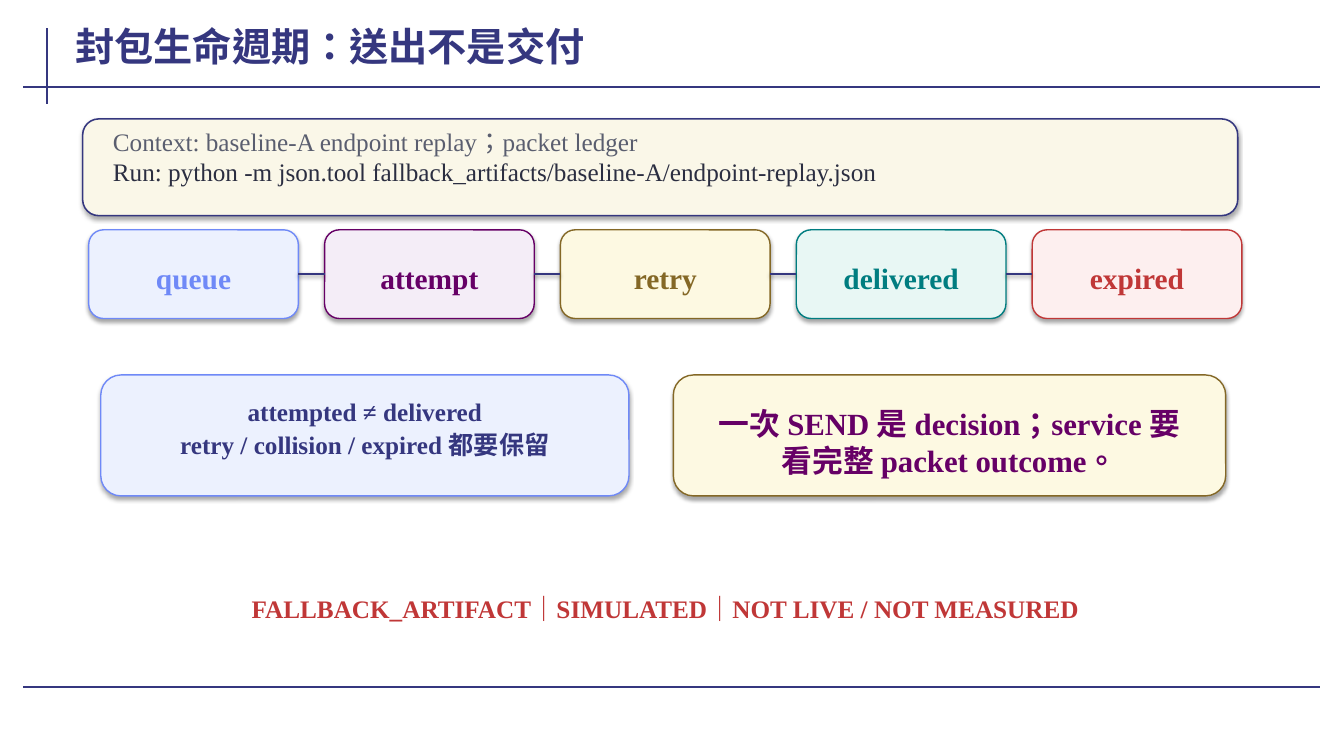
from dataclasses import dataclass

from lxml import etree
from pptx import Presentation
from pptx.dml.color import RGBColor
from pptx.enum.shapes import MSO_CONNECTOR, MSO_SHAPE
from pptx.enum.text import MSO_AUTO_SIZE, PP_ALIGN
from pptx.oxml.ns import qn
from pptx.util import Pt

STRAIGHT = MSO_CONNECTOR.STRAIGHT
ROUNDED = MSO_SHAPE.ROUNDED_RECTANGLE
LEFT, CENTER = PP_ALIGN.LEFT, PP_ALIGN.CENTER
GROW = MSO_AUTO_SIZE.SHAPE_TO_FIT_TEXT
LEFT_SIDE, RIGHT_SIDE = 1, 3


@dataclass(frozen=True)
class Theme:
    font: str = "Times New Roman"
    navy: str = "35377F"
    blue: str = "6F89F7"
    purple: str = "660066"
    gold: str = "846826"
    teal: str = "007D80"
    red: str = "C03737"
    ink: str = "2B2E41"
    gray: str = "5A5E6F"
    cream: str = "FAF7E8"
    pale_blue: str = "ECF1FE"
    pale_purple: str = "F4EDF7"
    pale_gold: str = "FDF9E2"
    pale_teal: str = "E8F7F4"
    pale_red: str = "FDEFEF"
    title: float = 28
    message: float = 22
    stage: float = 21
    body: float = 18
    rule: float = 1.5


T = Theme()

STAGES = [
    ("queue", T.pale_blue, T.blue),
    ("attempt", T.pale_purple, T.purple),
    ("retry", T.pale_gold, T.gold),
    ("delivered", T.pale_teal, T.teal),
    ("expired", T.pale_red, T.red),
]


def rgb(color):
    return RGBColor.from_string(color)


def add_effects(shape, alpha=0, distance=0):
    """Append an effect list; an alpha of zero leaves it empty."""
    effects = etree.SubElement(shape._element.spPr, qn("a:effectLst"))
    if alpha:
        shadow = etree.SubElement(
            effects, qn("a:outerShdw"), blurRad=str(Pt(3.1)),
            dist=str(Pt(distance)), dir="5400000", rotWithShape="0")
        black = etree.SubElement(shadow, qn("a:srgbClr"), val="000000")
        etree.SubElement(black, qn("a:alpha"), val=str(alpha * 1000))


def add_card(slide, x, y, w, h, fill, line, weight=1):
    sp = slide.shapes.add_shape(ROUNDED, Pt(x), Pt(y), Pt(w), Pt(h))
    sp.fill.solid()
    sp.fill.fore_color.rgb = rgb(fill)
    sp.line.color.rgb = rgb(line)
    sp.line.width = Pt(weight)
    add_effects(sp, alpha=35, distance=1.8)
    return sp


def add_line(slide, x1, y1, x2, y2):
    line = slide.shapes.add_connector(STRAIGHT, Pt(x1), Pt(y1), Pt(x2), Pt(y2))
    line.line.color.rgb = rgb(T.navy)
    line.line.width = Pt(T.rule)
    return line


def add_rule(slide, x1, y1, x2, y2):
    add_effects(add_line(slide, x1, y1, x2, y2))


def add_link(slide, start, end):
    """Join the facing sides of two neighbouring cards."""
    link = add_line(slide, 0, 0, 0, 0)
    link.begin_connect(start, RIGHT_SIDE)
    link.end_connect(end, LEFT_SIDE)
    add_effects(link, alpha=38, distance=1.6)


def add_text(slide, x, y, w, h, lines, size, color, bold=True, align=CENTER,
             grow=True):
    tf = slide.shapes.add_textbox(Pt(x), Pt(y), Pt(w), Pt(h)).text_frame
    tf.word_wrap = True
    if grow:
        tf.auto_size = GROW
    tf.margin_left = tf.margin_right = Pt(5.76)
    tf.margin_top, tf.margin_bottom = Pt(2.16), Pt(1.44)
    for i, text in enumerate(lines):
        p = tf.add_paragraph() if i else tf.paragraphs[0]
        p.alignment = align
        p.space_after = Pt(2)
        r = p.add_run()
        r.text = text
        r.font.name = T.font
        r.font.size = Pt(size)
        r.font.bold = bold
        r.font.color.rgb = rgb(color)
        r._r.get_or_add_rPr().set("lang", "zh-TW")


def add_frame(slide):
    add_rule(slide, 33.84, 20.16, 33.84, 74.16)
    for y in (61.92, 491.04):
        add_rule(slide, 16.56, y, 943.2, y)
    add_text(slide, 48.24, 13.68, 864, 45.36, ["封包生命週期：送出不是交付"],
             T.title, T.navy, align=LEFT, grow=False)


def add_context(slide):
    add_card(slide, 59.04, 84.96, 825.12, 69.12, T.cream, T.navy, 1.1)
    add_text(slide, 74.88, 87.84, 790.56, 18.72,
             ["Context: baseline-A endpoint replay；packet ledger"],
             T.body, T.gray, bold=False, align=LEFT)
    add_text(slide, 74.88, 109.44, 790.56, 41.76,
             ["Run: python -m json.tool "
              "fallback_artifacts/baseline-A/endpoint-replay.json"],
             T.body, T.ink, bold=False, align=LEFT)


def add_lifecycle(slide):
    left, top, width, height, pitch = 63.36, 164.16, 149.76, 63.36, 168.48
    previous = None
    for i, (name, fill, color) in enumerate(STAGES):
        x = left + i * pitch
        card = add_card(slide, x, top, width, height, fill, color)
        add_text(slide, x + 5.76, top + 19.44, width - 11.52, 24.48, [name],
                 T.stage, color)
        if previous is not None:
            add_link(slide, previous, card)
        previous = card


def add_takeaways(slide):
    top, height = 267.84, 86.4
    add_card(slide, 72, top, 377.28, height, T.pale_blue, T.blue)
    add_text(slide, 89.28, 280.8, 342.72, 69.12,
             ["attempted ≠ delivered", "retry / collision / expired 都要保留"],
             T.body, T.navy)
    add_card(slide, 480.96, top, 394.56, height, T.pale_gold, T.gold)
    add_text(slide, 499.68, 287.28, 357.12, 46.08,
             ["一次 SEND 是 decision；service 要看完整 packet outcome。"],
             T.message, T.purple)


def main():
    prs = Presentation()
    prs.slide_width, prs.slide_height = Pt(960), Pt(540)
    slide = prs.slides.add_slide(prs.slide_layouts[6])
    add_frame(slide)
    add_context(slide)
    add_lifecycle(slide)
    add_takeaways(slide)
    add_text(slide, 66.24, 421.92, 817.92, 21.6,
             ["FALLBACK_ARTIFACT｜SIMULATED｜NOT LIVE / NOT MEASURED"],
             T.body, T.red)
    prs.save("out.pptx")


if __name__ == "__main__":
    main()
